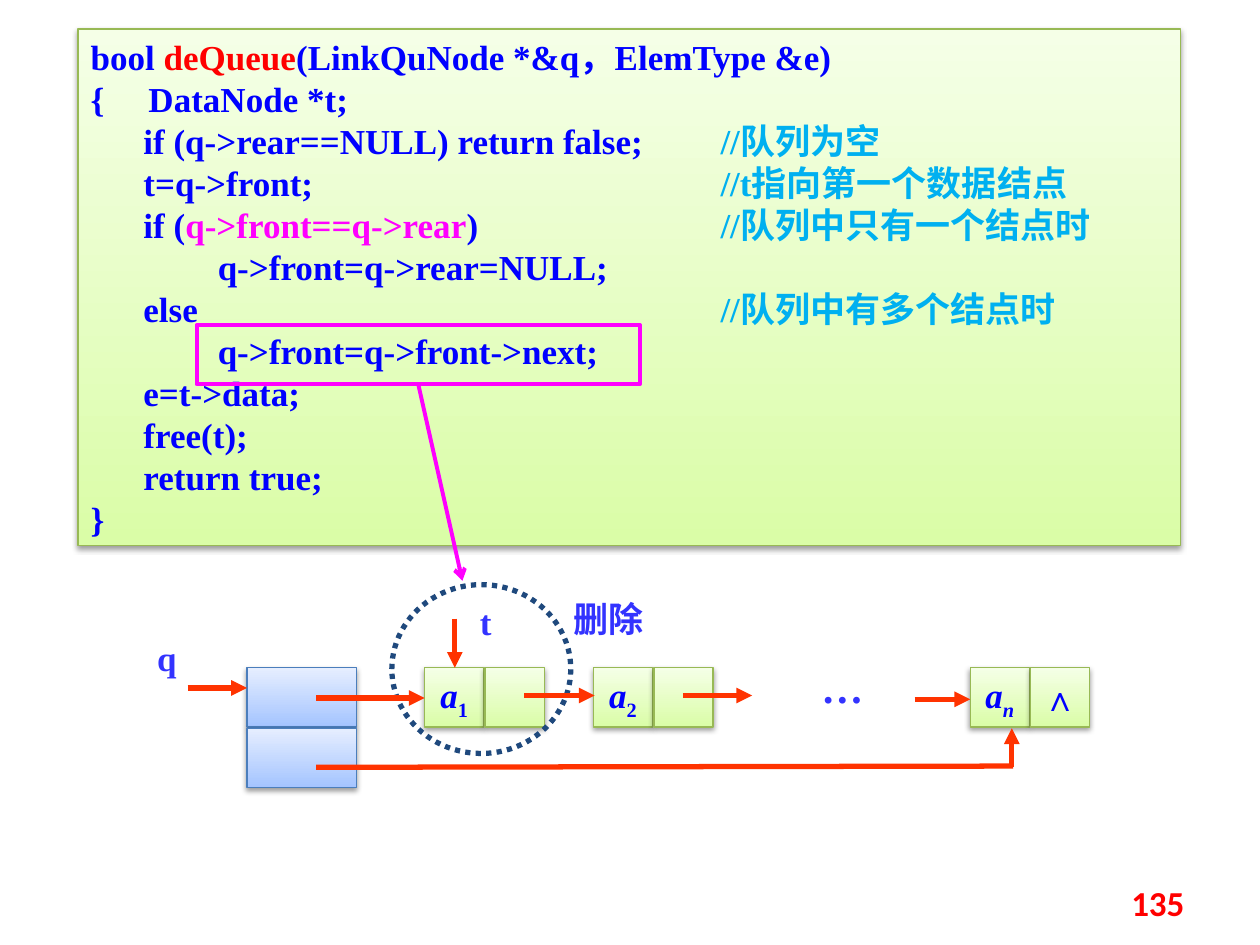
"""Build the slide on removing an item from a linked queue."""
from typing import NamedTuple

from lxml import etree
from pptx import Presentation
from pptx.dml.color import RGBColor
from pptx.enum.dml import MSO_LINE
from pptx.enum.shapes import MSO_CONNECTOR, MSO_SHAPE
from pptx.enum.text import MSO_ANCHOR, PP_ALIGN
from pptx.oxml.ns import qn
from pptx.util import Inches, Pt

RECT, OVAL = MSO_SHAPE.RECTANGLE, MSO_SHAPE.OVAL
LEFT, MID, RIGHT = PP_ALIGN.LEFT, PP_ALIGN.CENTER, PP_ALIGN.RIGHT
DOTS, STRAIGHT = MSO_LINE.ROUND_DOT, MSO_CONNECTOR.STRAIGHT
SERIF, HAN = "Times New Roman", "Noto Sans CJK SC"
BLUE, RED, SKY, PINK = "0000FF", "FF0000", "00B0F0", "FF00FF"
INK, FLAME, NAVY = "3333FF", "FF3300", "1F497D"
GREEN = ("DAFDA7", "F5FFE7", "98B955")
AZURE = ("A4C4FF", "E6EEFF", "4B7EBC")
CELL, STEP, TOP = 0.47, 0.48, 5.3
INDENT, DEEP, NOTE = 0.42, 1.01, 5.0


class Row(NamedTuple):
    words: list
    stops: tuple = (INDENT, NOTE)


class Node(NamedTuple):
    x: float
    sub: str
    slant: bool = False
    mark: str = ""


class Arrow(NamedTuple):
    start: tuple
    end: tuple
    color: str = FLAME
    width: float = 3
    head: str = "triangle"


class Label(NamedTuple):
    text: str
    box: tuple
    size: int = 20
    font: str = SERIF
    color: str = INK
    align: int = MID


ROWS = [
    Row([("bool ", BLUE), ("deQueue", RED), ("(LinkQuNode *&q，ElemType &e)", BLUE)]),
    Row([("{\tDataNode *t;", BLUE)], (0.46,)),
    Row([("\tif (q->rear==NULL) return false;\t", BLUE), ("//队列为空", SKY)]),
    Row([("\tt=q->front;\t", BLUE), ("//t指向第一个数据结点", SKY)]),
    Row([("\tif (", BLUE), ("q->front==q->rear", PINK), (")\t", BLUE),
         ("//队列中只有一个结点时", SKY)]),
    Row([("\tq->front=q->rear=NULL;", BLUE)], (DEEP,)),
    Row([("\telse\t", BLUE), ("//队列中有多个结点时", SKY)]),
    Row([("\tq->front=q->front->next;", BLUE)], (DEEP,)),
    Row([("\te=t->data;", BLUE)]),
    Row([("\tfree(t);", BLUE)]),
    Row([("\treturn true;", BLUE)]),
    Row([("}", BLUE)]),
]
NODES = [Node(3.37, "1"), Node(4.71, "2"), Node(7.7, "n", True, "∧")]
ARROWS = [
    Arrow((1.49, 5.46), (1.96, 5.46)),
    Arrow((2.51, 5.54), (3.37, 5.54)),
    Arrow((4.16, 5.52), (4.72, 5.52)),
    Arrow((5.42, 5.52), (5.97, 5.52)),
    Arrow((7.26, 5.55), (7.7, 5.55)),
    Arrow((2.51, 6.09), (8.04, 6.08), head=""),
    Arrow((8.03, 6.09), (8.03, 5.78)),
    Arrow((3.61, 4.91), (3.61, 5.3)),
    Arrow((3.32, 3.05), (3.67, 4.61), PINK, 2.25, "arrow"),
]
LABELS = [
    Label("q", (1.09, 5, 0.47, 0.43)),
    Label("t", (3.66, 4.72, 0.39, 0.43)),
    Label("…", (6.25, 5.2, 0.87, 0.5), 24),
    Label("删除", (4.45, 4.69, 0.94, 0.44), font=HAN, align=LEFT),
    Label("135", (7.17, 6.95, 2.33, 0.4), font="Calibri", color=RED, align=RIGHT),
]


def rgb(code: str) -> RGBColor:
    return RGBColor.from_string(code)


def add(node, tag: str, **attrs):
    return etree.SubElement(node, qn(tag), attrs)


def style(font, color: str, size: int = 20, name: str = SERIF) -> None:
    font.name, font.size, font.bold = name, Pt(size), True
    font.color.rgb = rgb(color)


def panel(slide, box: tuple, tint: tuple):
    shape = slide.shapes.add_shape(RECT, *map(Inches, box))
    shape.fill.gradient()
    shape.fill.gradient_angle = 90
    for stop, code in zip(shape.fill.gradient_stops, tint):
        stop.color.rgb = rgb(code)
    shape.line.color.rgb, shape.line.width = rgb(tint[2]), Pt(0.75)
    shade = add(add(shape.element.spPr, "a:effectLst"), "a:outerShdw", blurRad="40000",
                dist="20000", dir="5400000", rotWithShape="0")
    add(add(shade, "a:srgbClr", val="000000"), "a:alpha", val="38000")
    return shape


def outline(slide, kind: int, box: tuple, color: str, width: float):
    shape = slide.shapes.add_shape(kind, *map(Inches, box))
    shape.shadow.inherit = False
    shape.fill.background()
    shape.line.color.rgb, shape.line.width = rgb(color), Pt(width)
    return shape


def code(slide) -> None:
    frame = panel(slide, (0.62, 0.23, 8.75, 4.1), GREEN).text_frame
    frame.word_wrap, frame.vertical_anchor = True, MSO_ANCHOR.TOP
    for i, row in enumerate(ROWS):
        para = frame.add_paragraph() if i else frame.paragraphs[0]
        para.alignment, para.line_spacing = LEFT, Pt(24)
        tabs = add(para._p.get_or_add_pPr(), "a:tabLst")
        for stop in row.stops:
            add(tabs, "a:tab", pos=str(Inches(stop)), algn="l")
        for text, color in row.words:
            run = para.add_run()
            run.text = text
            style(run.font, color)


def cell(slide, x: float, words: list) -> None:
    frame = panel(slide, (x, TOP, CELL, CELL), GREEN).text_frame
    frame.word_wrap, frame.vertical_anchor = False, MSO_ANCHOR.MIDDLE
    para = frame.paragraphs[0]
    para.alignment = MID
    for text, slant, base in words:
        run = para.add_run()
        run.text = text
        style(run.font, BLUE)
        run.font.italic = slant
        if base:
            run.font._element.set("baseline", str(base))


def arrow(slide, item: Arrow) -> None:
    ends = map(Inches, item.start + item.end)
    link = slide.shapes.add_connector(STRAIGHT, *ends)
    link.line.color.rgb, link.line.width = rgb(item.color), Pt(item.width)
    if item.head:
        add(link.line._get_or_add_ln(), "a:tailEnd", type=item.head)
    add(link.element.spPr, "a:effectLst")


def label(slide, item: Label) -> None:
    frame = slide.shapes.add_textbox(*map(Inches, item.box)).text_frame
    frame.word_wrap = True
    para = frame.paragraphs[0]
    para.text, para.alignment = item.text, item.align
    style(para.font, item.color, item.size, item.font)


def main() -> None:
    deck = Presentation()
    deck.slide_width, deck.slide_height = Inches(10), Inches(7.5)
    slide = deck.slides.add_slide(deck.slide_layouts[6])
    code(slide)
    for i in range(2):
        panel(slide, (1.96, TOP + i * STEP, 0.87, CELL), AZURE)
    for node in NODES:
        cell(slide, node.x, [("a", True, 0), (node.sub, node.slant, -25000)])
        cell(slide, node.x + STEP, [(node.mark, False, 0)] if node.mark else [])
    ring = outline(slide, OVAL, (3.11, 4.64, 1.42, 1.34), NAVY, 3)
    ring.line.dash_style = DOTS
    outline(slide, RECT, (1.56, 2.58, 3.52, 0.47), PINK, 2.25)
    for item in ARROWS:
        arrow(slide, item)
    for item in LABELS:
        label(slide, item)
    deck.save("out.pptx")


main()
